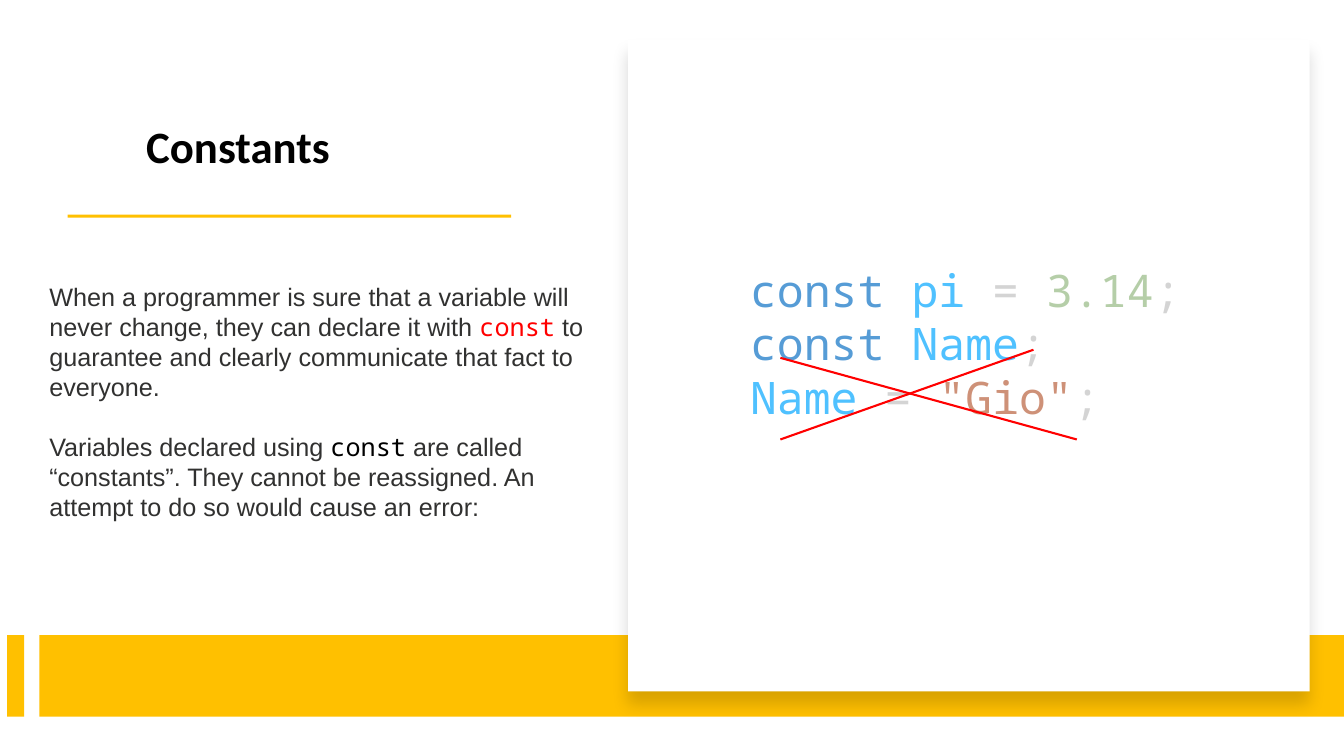
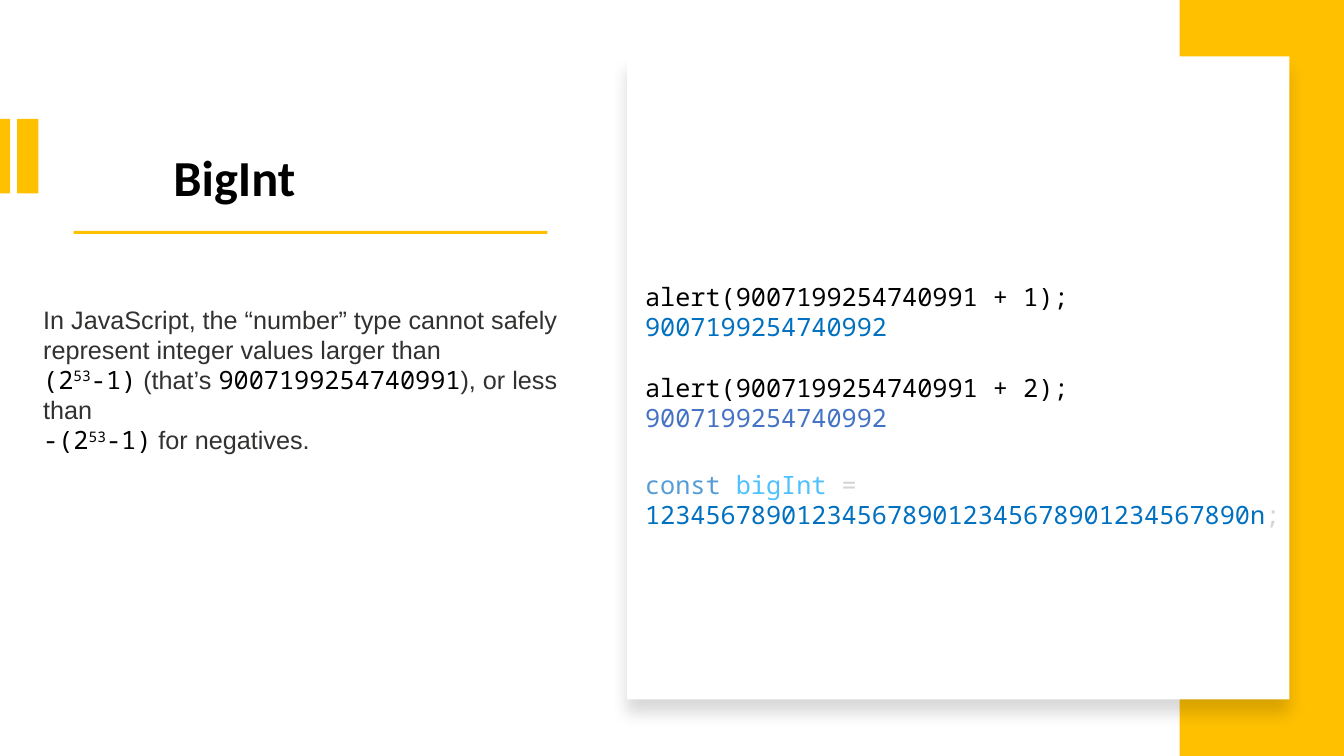
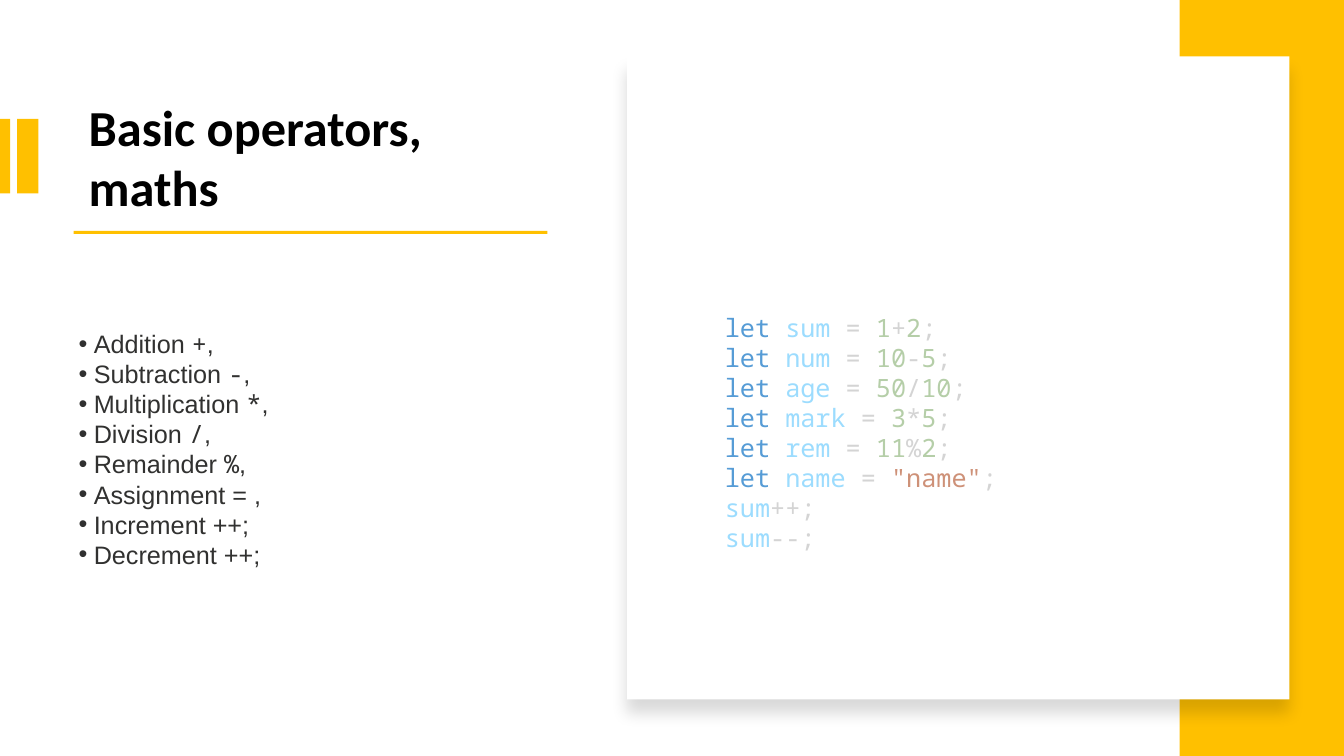
from lxml import etree
from pptx import Presentation
from pptx.dml.color import RGBColor
from pptx.enum.shapes import MSO_CONNECTOR, MSO_SHAPE
from pptx.enum.text import MSO_ANCHOR, MSO_AUTO_SIZE, PP_ALIGN
from pptx.oxml import parse_xml
from pptx.oxml.ns import nsdecls, qn
from pptx.util import Inches, Pt

GOLD, WHITE, RED = "FFC000", "FFFFFF", "FF0000"
SANS, MONO = "Arial", "Noto Sans Mono"

# Text styles: font and colour
STYLES = {
    "body": (SANS, "313130"),
    "op": (MONO, "313130"),
    "mono": (MONO, "000000"),
    "sup": (MONO, "000000"),
    "red": (MONO, RED),
    "key": (MONO, "569CD6"),
    "const": (MONO, "4FC1FF"),
    "var": (MONO, "9CDCFE"),
    "num": (MONO, "B5CEA8"),
    "str": (MONO, "CE9178"),
    "sign": (MONO, "D4D4D4"),
    "blue": (MONO, "0070C0"),
    "indigo": (MONO, "4472C4"),
}
SHADOW = (f'<a:effectLst {nsdecls("a")}><a:outerShdw blurRad="139700" dist="127000" '
          'dir="5400000" algn="t" rotWithShape="0"><a:srgbClr val="000000">'
          '<a:alpha val="15000"/></a:srgbClr></a:outerShdw></a:effectLst>')


def rgb(value):
    return RGBColor.from_string(value)


def add_text(slide, box, paragraphs, size=18, anchor=MSO_ANCHOR.TOP):
    """Each paragraph is a list of (text, style) pairs."""
    tf = slide.shapes.add_textbox(*map(Inches, box)).text_frame
    tf.word_wrap = True
    tf.vertical_anchor = anchor
    for i, runs in enumerate(paragraphs):
        p = tf.paragraphs[0] if i == 0 else tf.add_paragraph()
        p.line_spacing = Pt(round(size * 1.195, 1))
        for text, style in runs:
            r = p.add_run()
            r.text = text
            r.font.size = Pt(size)
            r.font.name, colour = STYLES[style]
            r.font.color.rgb = rgb(colour)
            if style == "sup":
                r._r.get_or_add_rPr().set("baseline", "30000")
    return tf


prs = Presentation()
prs.slide_width, prs.slide_height = Inches(13.33), Inches(7.5)

# Frames: gold bars first, white card last
SIDE_BARS = [(0, 1.18, 0.1, 0.74), (0.17, 1.18, 0.21, 0.74),
             (0.73, 2.29, 4.7, 0.03), (11.7, 0, 1.63, 7.5)]
SIDE_CARD = (6.22, 0.56, 6.57, 6.38)
BOTTOM_BARS = [(0.67, 2.13, 4.4, 0.03), (0.07, 6.3, 0.17, 0.81),
               (0.39, 6.3, 12.94, 0.81)]
BOTTOM_CARD = (6.23, 0.39, 6.76, 6.47)

PAGES = [
    ("Constants", 32, (1.35, 1.13, 2.04, 0.64), BOTTOM_BARS, BOTTOM_CARD),
    ("BigInt", 36, (1.62, 1.4, 2.62, 0.71), SIDE_BARS, SIDE_CARD),
    ("Basic operators, maths", 36, (0.78, 0.9, 4.76, 1.31), SIDE_BARS, SIDE_CARD),
]
slides = []
for title, size, box, bars, card in PAGES:
    s = prs.slides.add_slide(prs.slide_layouts[5])
    slides.append(s)
    for frame in bars + [card]:
        sp = s.shapes.add_shape(MSO_SHAPE.RECTANGLE, *map(Inches, frame))
        sp.shadow.inherit = False
        sp.fill.solid()
        sp.fill.fore_color.rgb = rgb(WHITE if frame == card else GOLD)
        sp.line.fill.background()
    # The card is the last shape and the only one with a shadow
    spPr = sp._element.spPr
    spPr.replace(spPr.find(qn("a:effectLst")), parse_xml(SHADOW))

    sp = s.shapes.title
    sp.left, sp.top, sp.width, sp.height = map(Inches, box)
    tf = sp.text_frame
    tf.text = title
    tf.word_wrap = True
    tf.auto_size = MSO_AUTO_SIZE.NONE
    tf.vertical_anchor = MSO_ANCHOR.TOP
    p = tf.paragraphs[0]
    p.alignment = PP_ALIGN.LEFT
    font = p.runs[0].font
    font.name, font.size, font.bold = "Calibri", Pt(size), True
    font.color.rgb = rgb("000000")

constants, bigint, operators = slides

# Constants: explanation, code and the cross over the failing lines
add_text(constants, (0.39, 2.74, 5.71, 1.29), [[
    ("When a programmer is sure that a variable will never change, "
     "they can declare it with ", "body"),
    ("const", "red"),
    (" to guarantee and clearly communicate that fact to everyone.", "body"),
]], anchor=MSO_ANCHOR.MIDDLE)
add_text(constants, (0.39, 4.22, 5.22, 1.01), [[
    ("Variables declared using ", "body"),
    ("const", "mono"),
    (" are called “constants”. They cannot be reassigned. "
     "An attempt to do so would cause an error:", "body"),
]], anchor=MSO_ANCHOR.MIDDLE)
add_text(constants, (7.34, 2.56, 4.75, 1.7), [
    [("const ", "key"), ("pi", "const"), (" = ", "sign"), ("3.14", "num"), (";", "sign")],
    [("const ", "key"), ("Name", "const"), (";", "sign")],
    [("Name", "const"), (" = ", "sign"), ('"Gio"', "str"), (";", "sign")],
], size=32)
for ends in [(10.68, 4.36, 7.74, 3.55), (10.25, 3.47, 7.74, 4.36)]:
    line = constants.shapes.add_connector(MSO_CONNECTOR.STRAIGHT, *map(Inches, ends))
    line.line.color.rgb = rgb(RED)
    line.line.width = Pt(1.5)
    etree.SubElement(line._element.spPr, qn("a:effectLst"))

# BigInt: explanation and code
add_text(bigint, (0.33, 2.96, 5.72, 1.61), [
    [("In JavaScript, the “number” type cannot safely represent "
      "integer values larger than ", "body")],
    [("(2", "mono"), ("53", "sup"), ("-1)", "mono"), (" (that’s ", "body"),
     ("9007199254740991", "mono"), ("), or less than ", "body")],
    [("-(2", "mono"), ("53", "sup"), ("-1)", "mono"), (" for negatives.", "body")],
], anchor=MSO_ANCHOR.MIDDLE)
tf = add_text(bigint, (6.3, 2.74, 6.66, 1.62), [
    [("alert(9007199254740991 + 1);", "mono")],
    [("9007199254740992", "blue")],
    [("alert(9007199254740991 + 2);", "mono")],
    [("9007199254740992", "indigo")],
])
tf.paragraphs[2].space_before = Pt(22)
add_text(bigint, (6.3, 4.61, 6.66, 0.7), [[
    ("const ", "key"), ("bigInt", "const"), (" = ", "sign"),
    ("1234567890123456789012345678901234567890n", "blue"), (";", "sign"),
]])

# Basic operators: bulleted list
OPERATORS = [("Addition ", "+"), ("Subtraction ", "-"), ("Multiplication ", "*"),
             ("Division ", "/"), ("Remainder ", "%")]
items = [[(name, "body"), (op, "op"), (",", "body")] for name, op in OPERATORS]
items += [[(text, "body")] for text in
          ("Assignment = ,", "Increment ++;", "Decrement ++;")]
tf = add_text(operators, (0.78, 3.26, 3.82, 2.5), items)
tf.margin_left = tf.margin_top = tf.margin_right = tf.margin_bottom = 0
for p in tf.paragraphs:
    pPr = p._p.get_or_add_pPr()
    pPr.set("marL", str(Inches(0.15)))
    pPr.set("indent", str(-Inches(0.15)))
    etree.SubElement(pPr, qn("a:buFont")).set("typeface", SANS)
    etree.SubElement(pPr, qn("a:buChar")).set("char", "•")

# Basic operators: code
SUMS = [("sum", "1", "+", "2"), ("num", "10", "-", "5"), ("age", "50", "/", "10"),
        ("mark", "3", "*", "5"), ("rem", "11", "%", "2")]
code = [[("let ", "key"), (name, "var"), (" = ", "sign"), (a, "num"), (op, "sign"),
         (b, "num"), (";", "sign")] for name, a, op, b in SUMS]
code.append([("let ", "key"), ("name", "var"), (" = ", "sign"),
             ('"name"', "str"), (";", "sign")])
code += [[("sum", "var"), (step, "sign")] for step in ("++;", "--;")]
add_text(operators, (7.09, 3.05, 3.73, 2.53), code)

prs.save("out.pptx")
